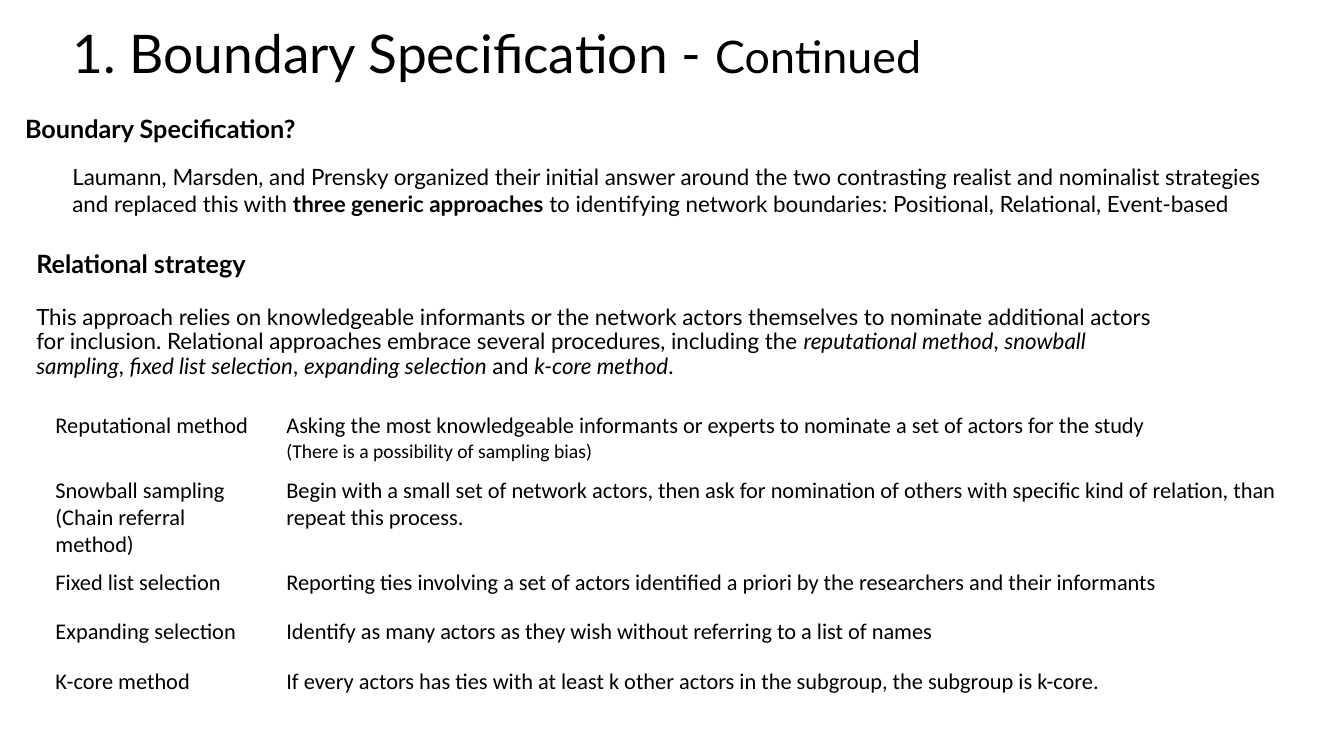
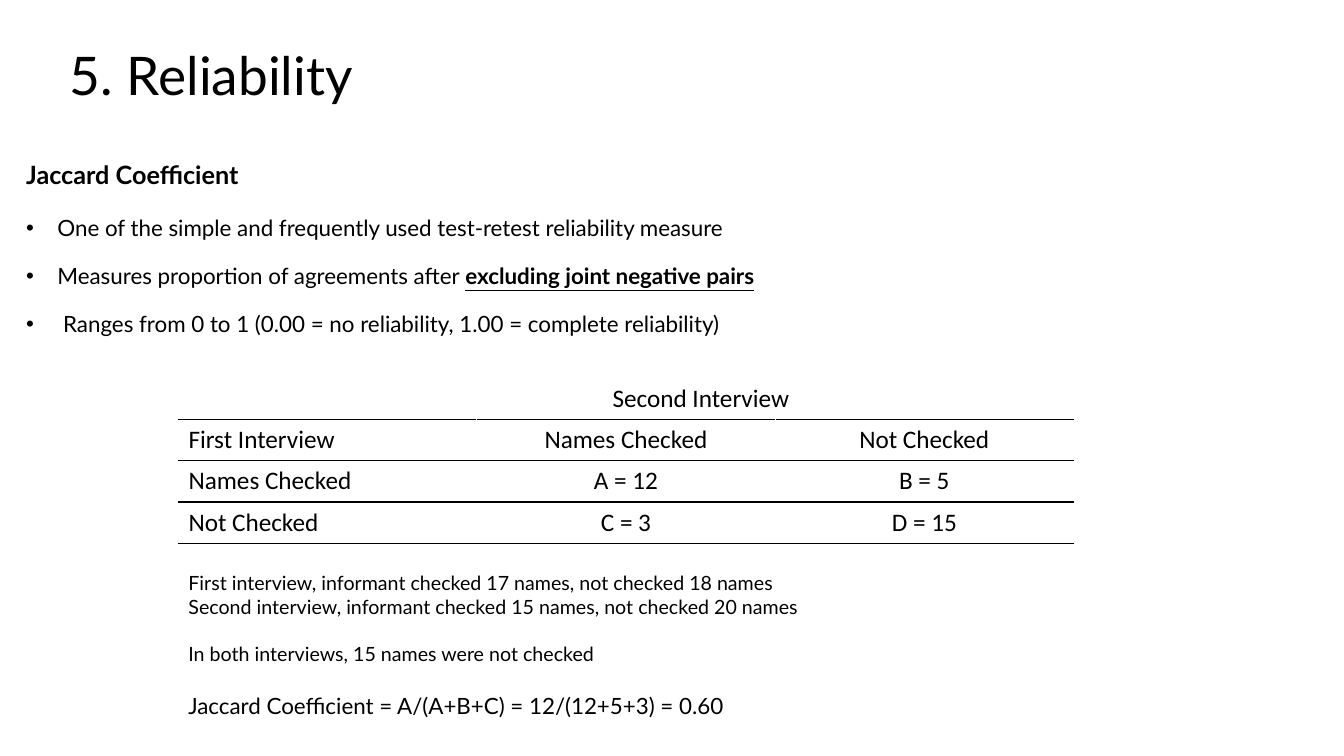
from dataclasses import dataclass
from lxml.etree import SubElement
from pptx import Presentation
from pptx.dml.color import RGBColor
from pptx.enum.text import MSO_ANCHOR, MSO_AUTO_SIZE, PP_ALIGN
from pptx.oxml.ns import qn
from pptx.util import Inches, Pt


@dataclass(frozen=True)
class Theme:
    """Colours, fonts, type sizes and spacing of the deck."""
    ink: RGBColor = RGBColor(0, 0, 0)
    text_font: str = "Lato"
    table_font: str = "Calibri"
    title: int = 38
    subtitle: int = 32
    heading: int = 18
    body: int = 16
    small: int = 14
    tight: float = 0.9
    heading_gap: float = 19.4
    body_gap: float = 17.3
    title_size: tuple = (70.95, 18.27)
    hang: float = 0.31


T = Theme()
BOLD, ITALIC = {"bold": True}, {"italic": True}


def apply(target, formats):
    """Set each attribute named in a dict of formats."""
    for name, value in formats.items():
        setattr(target, name, value)


class Deck:
    """Holds the style and the current slide; lengths are percent of the slide."""

    def __init__(self):
        self.prs = Presentation()
        self.prs.slide_width, self.prs.slide_height = Inches(13.33), Inches(7.5)
        self.s = None

    def x(self, share):
        """Turn a share of the width into a length."""
        return round(self.prs.slide_width * share / 100)

    def y(self, share):
        """Turn a share of the height into a length."""
        return round(self.prs.slide_height * share / 100)

    def box(self, left, top, width, height):
        """Turn four shares into a rectangle."""
        return self.x(left), self.y(top), self.x(width), self.y(height)

    def paragraph(self, p, runs, size=T.body, font=T.text_font, spacing=1.0,
                  after=0, align=PP_ALIGN.LEFT, bullet=None, **base):
        """Put runs, given as texts or (text, formats), into a paragraph."""
        apply(p, {"alignment": align, "line_spacing": spacing,
                  "space_before": Pt(0), "space_after": Pt(after)})
        ppr = p._p.get_or_add_pPr()
        hang = Inches(T.hang) if bullet else 0
        ppr.set("marL", str(hang))
        ppr.set("indent", str(-hang))
        if bullet:
            SubElement(ppr, qn("a:buFont"), typeface="Arial")
            SubElement(ppr, qn("a:buChar"), char=bullet)
        else:
            SubElement(ppr, qn("a:buNone"))
        for run in [runs] if isinstance(runs, str) else runs:
            text, own = (run, {}) if isinstance(run, str) else run
            r = p.add_run()
            r.text = text
            apply(r.font, {"name": font, "size": Pt(size), **base, **own})
            r.font.color.rgb = T.ink

    def paragraphs(self, tf, items, **common):
        """Fill a text frame with (runs, formats) pairs."""
        for i, (runs, own) in enumerate(items):
            p = tf.add_paragraph() if i else tf.paragraphs[0]
            self.paragraph(p, runs, **{**common, **own})

    def frame(self, sp, items, anchor, **common):
        """Set up the text frame of a shape and fill it."""
        apply(sp.text_frame, {"word_wrap": True, "vertical_anchor": anchor,
                              "auto_size": MSO_AUTO_SIZE.NONE})
        self.paragraphs(sp.text_frame, items, **common)

    def placeholder(self, sp, area, items, **common):
        """Move a template placeholder and fill it."""
        apply(sp, dict(zip(("left", "top", "width", "height"), self.box(*area))))
        self.frame(sp, items, MSO_ANCHOR.MIDDLE, spacing=T.tight, **common)

    def slide(self, left, top, runs):
        """Start a slide with its title."""
        self.s = self.prs.slides.add_slide(self.prs.slide_layouts[1])
        self.placeholder(self.s.shapes.title, (left, top, *T.title_size),
                         [(runs, {})], size=T.title)

    def body(self, area, heading, items):
        """Fill the body placeholder with a heading and paragraphs."""
        head = (heading, {"size": T.heading, "bold": True, "after": T.heading_gap})
        self.placeholder(self.s.placeholders[1], area, [head, *items])

    def text(self, area, items, anchor=MSO_ANCHOR.TOP, **common):
        """Add a text box."""
        self.frame(self.s.shapes.add_textbox(*self.box(*area)), items,
                   anchor, **common)

    def rule(self, cell, sides):
        """Draw thin lines on the given sides of a cell."""
        for side in sides:
            ln = SubElement(cell._tc.get_or_add_tcPr(), qn(f"a:ln{side}"),
                            w=str(Pt(1)))
            fill = SubElement(ln, qn("a:solidFill"))
            SubElement(fill, qn("a:srgbClr"), val=str(T.ink))

    def table(self, left, top, cols, rows, cells, ruled=False, **common):
        """Add a plain table whose cells are lists of paragraphs."""
        area = self.box(left, top, sum(cols), sum(rows))
        table = self.s.shapes.add_table(len(rows), len(cols), *area).table
        apply(table, {"first_row": False, "horz_banding": False})
        for column, share in zip(table.columns, cols):
            column.width = self.x(share)
        for i, share in enumerate(rows):
            table.rows[i].height = self.y(share)
            for j, items in enumerate(cells[i]):
                cell = table.cell(i, j)
                if ruled:
                    self.rule(cell, "TB" if i else "B")
                cell.fill.background()
                self.paragraphs(cell.text_frame, items, font=T.table_font, **common)
        return table


def boundary_slide(deck):
    """Build the boundary specification slide."""
    deck.slide(4.65, -1.73, ["1. Boundary Specification - ",
                             ("Continued", {"size": Pt(T.subtitle)})])
    deck.text((1.13, 12.13, 29.4, 10.27), [("Boundary Specification?", BOLD)],
              MSO_ANCHOR.MIDDLE, size=T.heading, spacing=T.tight)
    deck.text((4.65, 20.93, 91.8, 8.53), [([
        "Laumann, Marsden, and Prensky organized their initial answer around the "
        "two contrasting realist and nominalist strategies and replaced this with ",
        ("three generic approaches", BOLD),
        " to identifying network boundaries: Positional, Relational, Event-based",
    ], {})])
    deck.body((1.95, 31.6, 86.18, 20.27), "Relational strategy", [([
        "This approach relies on knowledgeable informants or the network actors "
        "themselves to nominate additional actors for inclusion. Relational "
        "approaches embrace several procedures, including the ",
        ("reputational method", ITALIC), ", ", ("snowball sampling", ITALIC), ", ",
        ("fixed list selection", ITALIC), ", ", ("expanding selection", ITALIC),
        " and ", ("k-core method", ITALIC), ".",
    ], {})])
    methods = [
        (["Reputational method"],
         ["Asking the most knowledgeable informants or experts to nominate a set "
          "of actors for the study",
          [("(There is a possibility of sampling bias)", {"size": Pt(T.small)})]]),
        (["Snowball sampling", "(Chain referral method)"],
         ["Begin with a small set of network actors, then ask for nomination of "
          "others with specific kind of relation, than repeat this process."]),
        (["Fixed list selection"],
         ["Reporting ties involving a set of actors identified a priori by the "
          "researchers and their informants"]),
        (["Expanding selection"],
         ["Identify as many actors as they wish without referring to a list of "
          "names"]),
        (["K-core method"],
         ["If every actors has ties with at least k other actors in the subgroup, "
          "the subgroup is k-core."]),
    ]
    cells = [[[(line, {}) for line in cell] for cell in row] for row in methods]
    deck.table(3.38, 53.87, [17.18, 77.63], [8.53, 9.07] + [6.53] * 3, cells)


def reliability_slide(deck):
    """Build the reliability slide."""
    deck.slide(4.43, 1.2, "5. Reliability")
    point = {"bullet": "•", "after": T.body_gap}
    deck.body((1.2, 19.47, 98.8, 27.2), "Jaccard Coefficient", [
        ("One of the simple and frequently used test-retest reliability measure",
         point),
        (["Measures proportion of agreements after ",
          ("excluding joint negative pairs", {**BOLD, "underline": True})], point),
        (" Ranges from 0 to 1 (0.00 = no reliability, 1.00 = complete reliability)",
         {**point, "after": 0}),
    ])
    counts = [
        ["Second Interview"],
        ["First Interview", "Names Checked", "Not Checked"],
        ["Names Checked", "A = 12", "B = 5"],
        ["Not Checked", "C = 3", "D = 15"],
    ]
    centred = {"align": PP_ALIGN.CENTER}
    cells = [[[(text, centred if j or not i else {})] for j, text in enumerate(row)]
             + [[]] * (3 - len(row)) for i, row in enumerate(counts)]
    table = deck.table(13.28, 50, [22.2] * 3, [5.47] * 4, cells, ruled=True,
                       size=T.heading)
    table.cell(0, 0).merge(table.cell(0, 2))
    table.cell(0, 0).margin_left = deck.x(11.9)
    deck.text((13.28, 74.93, 46.88, 21.07), [
        ("First interview, informant checked 17 names, not checked 18 names", {}),
        ("Second interview, informant checked 15 names, not checked 20 names",
         {"after": 16.8}),
        ("In both interviews, 15 names were not checked", {"after": 19.2}),
        ("Jaccard Coefficient = A/(A+B+C) = 12/(12+5+3) = 0.60", {"size": T.body}),
    ], size=T.small)


def main():
    """Build and save the deck."""
    deck = Deck()
    boundary_slide(deck)
    reliability_slide(deck)
    deck.prs.save("out.pptx")


if __name__ == "__main__":
    main()
